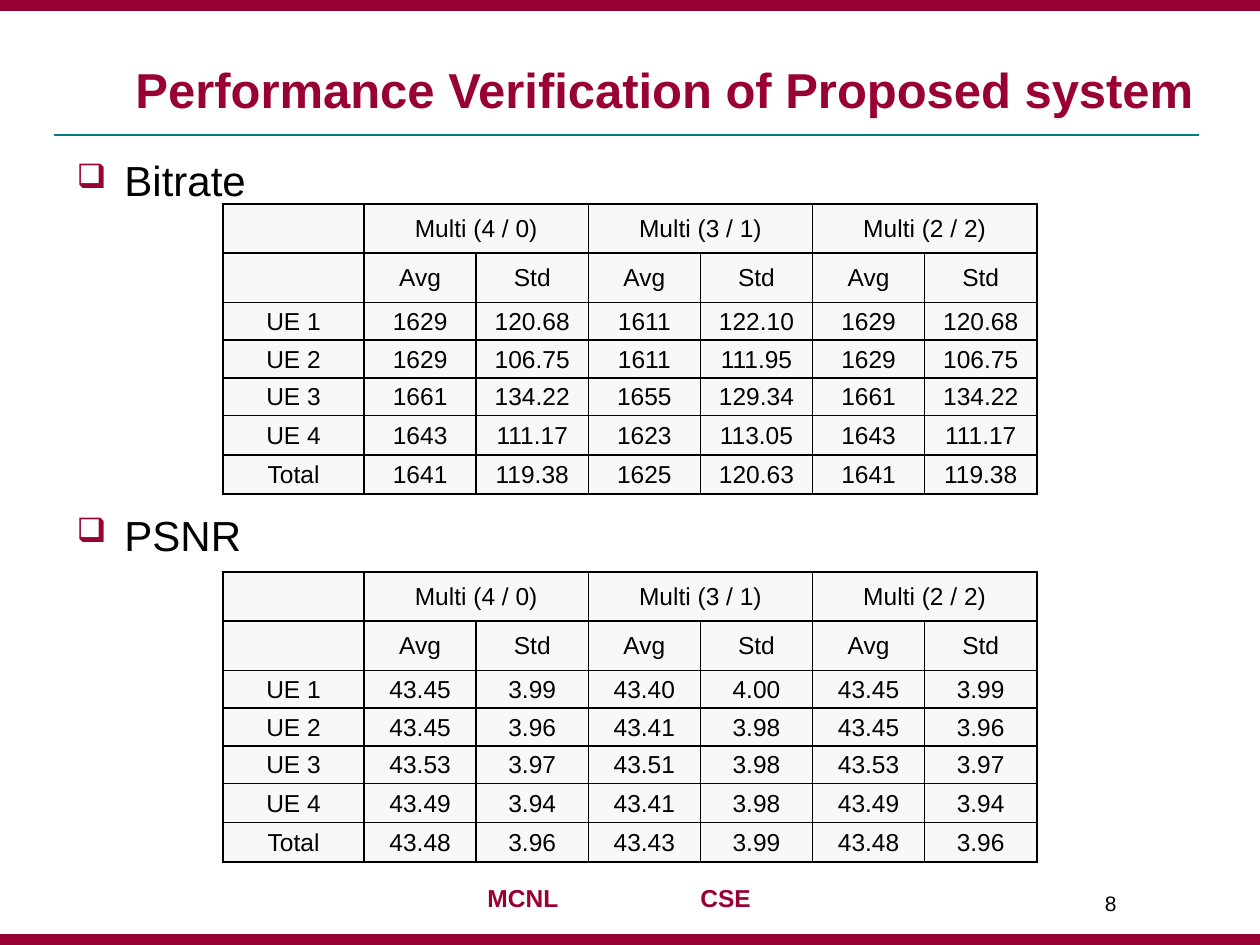
from lxml import etree
from pptx import Presentation
from pptx.dml.color import RGBColor
from pptx.enum.shapes import MSO_CONNECTOR, MSO_SHAPE
from pptx.enum.text import MSO_ANCHOR, PP_ALIGN
from pptx.oxml import parse_xml
from pptx.oxml.ns import nsdecls, qn
from pptx.util import Inches, Pt

LEFT, CENTER, RIGHT = PP_ALIGN.LEFT, PP_ALIGN.CENTER, PP_ALIGN.RIGHT
MIDDLE, BOTTOM = MSO_ANCHOR.MIDDLE, MSO_ANCHOR.BOTTOM
RECT, STRAIGHT = MSO_SHAPE.RECTANGLE, MSO_CONNECTOR.STRAIGHT

WINE, TEAL, BLACK, PALE = "990033", "008080", "000000", "F8F8F8"
WIDTHS = [1.12] + [0.89] * 6
HEIGHTS = [0.39] * 2 + [0.3] * 3 + [0.31] * 2
HEADS = [
    ["", "Multi (4 / 0)", "", "Multi (3 / 1)", "", "Multi (2 / 2)", ""],
    [""] + ["Avg", "Std"] * 3,
]
BITRATE = [
    ["UE 1", "1629", "120.68", "1611", "122.10", "1629", "120.68"],
    ["UE 2", "1629", "106.75", "1611", "111.95", "1629", "106.75"],
    ["UE 3", "1661", "134.22", "1655", "129.34", "1661", "134.22"],
    ["UE 4", "1643", "111.17", "1623", "113.05", "1643", "111.17"],
    ["Total", "1641", "119.38", "1625", "120.63", "1641", "119.38"],
]
PSNR = [
    ["UE 1", "43.45", "3.99", "43.40", "4.00", "43.45", "3.99"],
    ["UE 2", "43.45", "3.96", "43.41", "3.98", "43.45", "3.96"],
    ["UE 3", "43.53", "3.97", "43.51", "3.98", "43.53", "3.97"],
    ["UE 4", "43.49", "3.94", "43.41", "3.98", "43.49", "3.94"],
    ["Total", "43.48", "3.96", "43.43", "3.99", "43.48", "3.96"],
]


def color(code):
    """Turn a hex string into a colour."""
    return RGBColor.from_string(code)


def place(shape, left, top, width, height):
    """Move and size a shape in inches."""
    shape.left, shape.top = Inches(left), Inches(top)
    shape.width, shape.height = Inches(width), Inches(height)


class Deck:
    """Hold the style and the current slide."""

    def __init__(self, slide, font):
        """Keep the slide and its font."""
        self.slide, self.font = slide, font

    def add_text(self, para, text, size, code=BLACK, bold=False, align=LEFT):
        """Add one styled run to a paragraph."""
        para.alignment = align
        run = para.add_run()
        run.text = text
        run.font.name, run.font.size, run.font.bold = self.font, Pt(size), bold
        run.font.color.rgb = color(code)

    def title(self, text, *box):
        """Fill the title placeholder."""
        shape = self.slide.shapes.title
        place(shape, *box)
        shape.text_frame.vertical_anchor = BOTTOM
        shape.text_frame.word_wrap = True
        self.add_text(shape.text_frame.paragraphs[0], text, 28, WINE, True, RIGHT)

    def bar(self, top):
        """Draw a full-width band."""
        shape = self.slide.shapes.add_shape(RECT, 0, Inches(top), Inches(10), Inches(0.08))
        shape.shadow.inherit = False
        shape.fill.solid()
        shape.fill.fore_color.rgb = color(WINE)
        shape.line.color.rgb = color(WINE)
        shape.line.width = Pt(0.75)

    def rule(self, left, right, top):
        """Draw a thin level line."""
        line = self.slide.shapes.add_connector(
            STRAIGHT, Inches(left), Inches(top), Inches(right), Inches(top))
        line.line.color.rgb = color(TEAL)
        line.line.width = Pt(1)
        etree.SubElement(line._element.spPr, qn("a:effectLst"))

    def frame(self, *box):
        """Add a wrapping text box and return its frame."""
        frame = self.slide.shapes.add_textbox(*map(Inches, box)).text_frame
        frame.word_wrap = True
        return frame

    def label(self, text, size, *box, code=BLACK, bold=False, tab=None):
        """Add one line of text with an optional tab stop."""
        para = self.frame(*box).paragraphs[0]
        self.add_text(para, text, size, code, bold)
        if tab:
            stops = etree.SubElement(para._p.get_or_add_pPr(), qn("a:tabLst"))
            etree.SubElement(stops, qn("a:tab"), pos=str(Inches(tab)), algn="l")

    def bullets(self, items, gap, *box):
        """Add bulleted headings set apart by a gap in points."""
        frame = self.frame(*box)
        for i, text in enumerate(items):
            para = frame.add_paragraph() if i else frame.paragraphs[0]
            self.add_text(para, text, 24)
            if i:
                para.space_before = Pt(gap)
            props = para._p.get_or_add_pPr()
            props.set("marL", str(Inches(0.38)))
            props.set("indent", str(Inches(-0.38)))
            tint = etree.SubElement(props, qn("a:buClr"))
            etree.SubElement(tint, qn("a:srgbClr"), val=WINE)
            etree.SubElement(props, qn("a:buSzPct"), val="80000")
            etree.SubElement(props, qn("a:buChar"), char="❑")

    def cell(self, cell, text, pads):
        """Style and fill one table cell."""
        props = cell._tc.get_or_add_tcPr()
        for side in ("lnL", "lnR", "lnT", "lnB"):
            props.append(parse_xml(
                f'<a:{side} {nsdecls("a")} w="12700"><a:solidFill>'
                f'<a:srgbClr val="{BLACK}"/></a:solidFill></a:{side}>'))
        cell.fill.solid()
        cell.fill.fore_color.rgb = color(PALE)
        cell.vertical_anchor = MIDDLE
        cell.margin_left = cell.margin_right = Inches(pads[0])
        cell.margin_top, cell.margin_bottom = Inches(pads[1]), Inches(pads[2])
        if text:
            self.add_text(cell.text_frame.paragraphs[0], text, 14, align=CENTER)

    def table(self, rows, left, top):
        """Add a results table under the shared headings."""
        rows = HEADS + rows
        table = self.slide.shapes.add_table(
            len(rows), len(WIDTHS), Inches(left), Inches(top),
            Inches(sum(WIDTHS)), Inches(sum(HEIGHTS))).table
        table.first_row = table.horz_banding = False
        for col, width in zip(table.columns, WIDTHS):
            col.width = Inches(width)
        for r, (row, height) in enumerate(zip(rows, HEIGHTS)):
            table.rows[r].height = Inches(height)
            for c, text in enumerate(row):
                pads = (0.01, 0.01, 0) if r or not c else (0.09, 0.04, 0.04)
                self.cell(table.cell(r, c), text, pads)
        for c in range(1, len(WIDTHS), 2):
            table.cell(0, c).merge(table.cell(0, c + 1))


def main():
    """Build and save the slide."""
    show = Presentation()
    show.slide_width, show.slide_height = Inches(10), Inches(7.5)
    deck = Deck(show.slides.add_slide(show.slide_layouts[5]), "Arial")
    deck.rule(0.43, 9.52, 1.07)
    for top in (7.42, 0):
        deck.bar(top)
    deck.label("MCNL\tCSE", 14, 3.77, 6.96, 2.31, 0.34, code=WINE, bold=True, tab=1.69)
    deck.title("Performance Verification of Proposed system", 0.5, 0.25, 9.07, 0.74)
    deck.bullets(["Bitrate", "PSNR"], 174, 0.51, 1.18, 9, 5.64)
    deck.label("8", 12, 8.67, 7.02, 0.83, 0.4)
    for rows, top in ((BITRATE, 1.62), (PSNR, 4.54)):
        deck.table(rows, 1.77, top)
    show.save("out.pptx")


if __name__ == "__main__":
    main()
